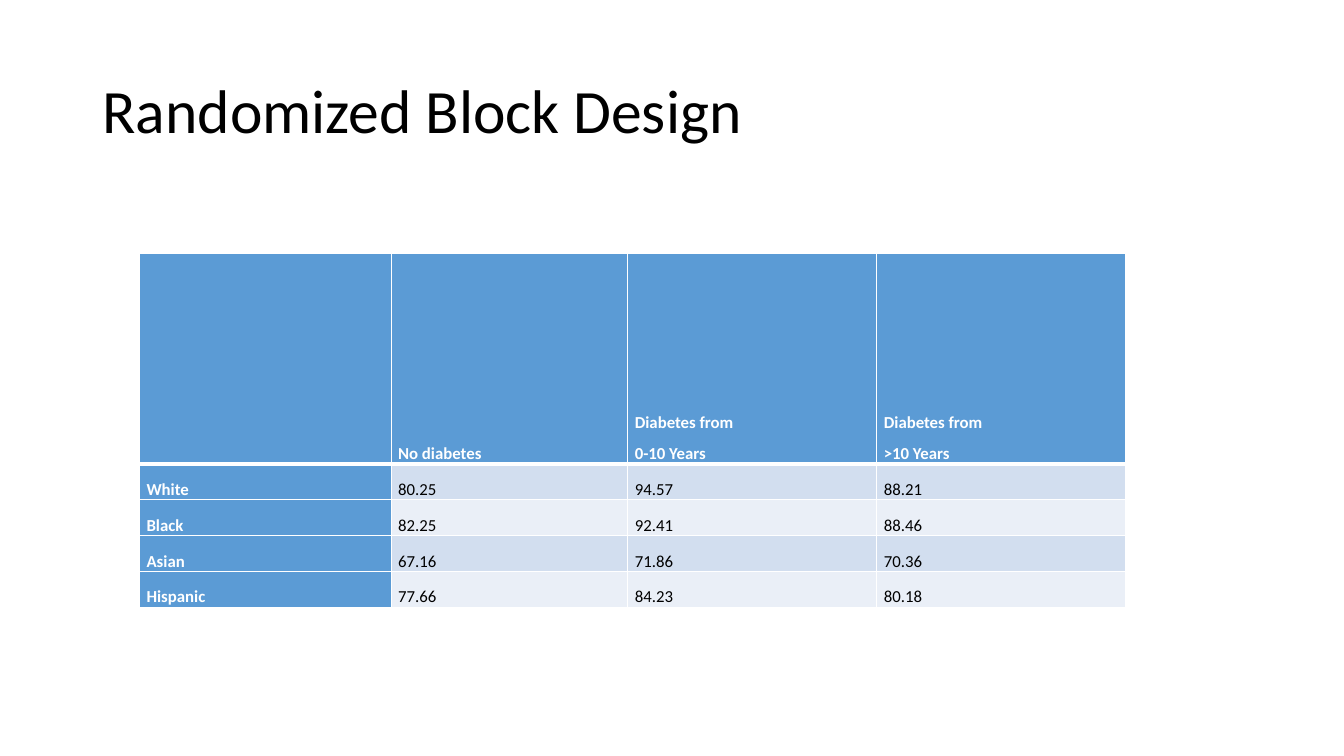
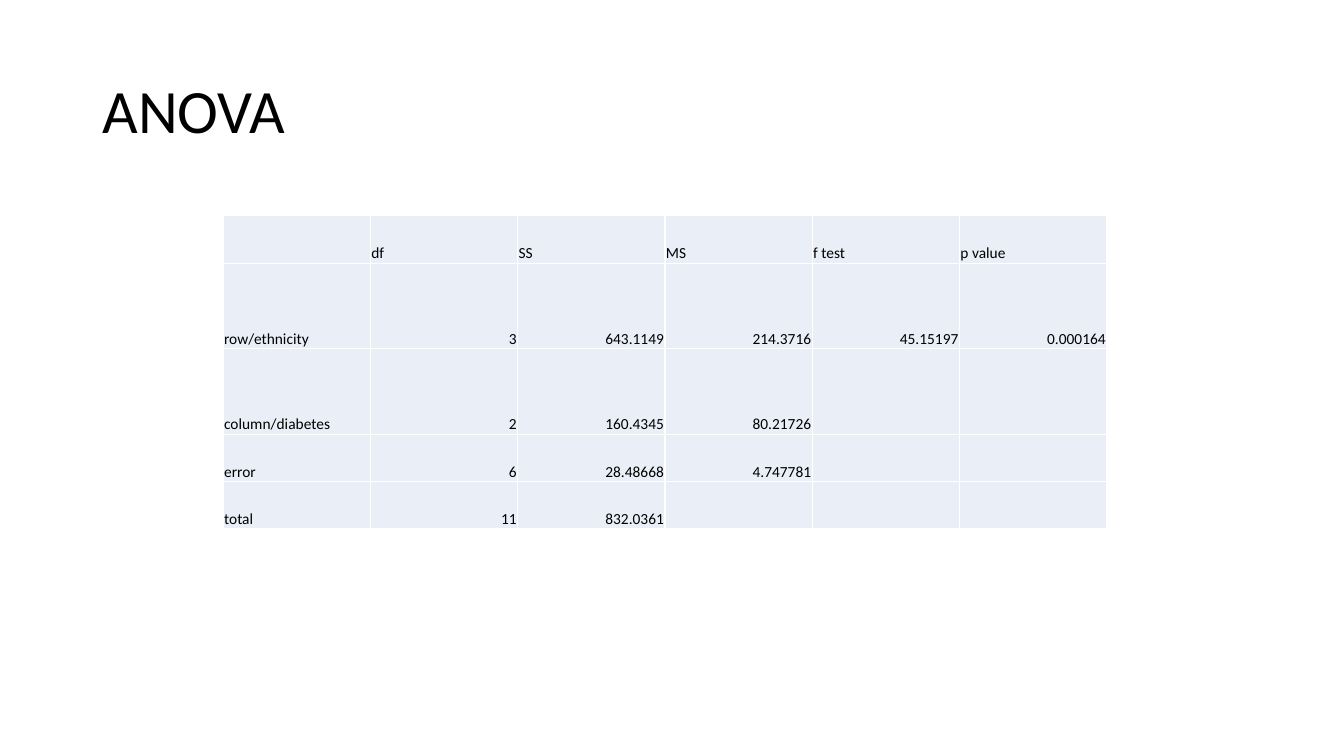
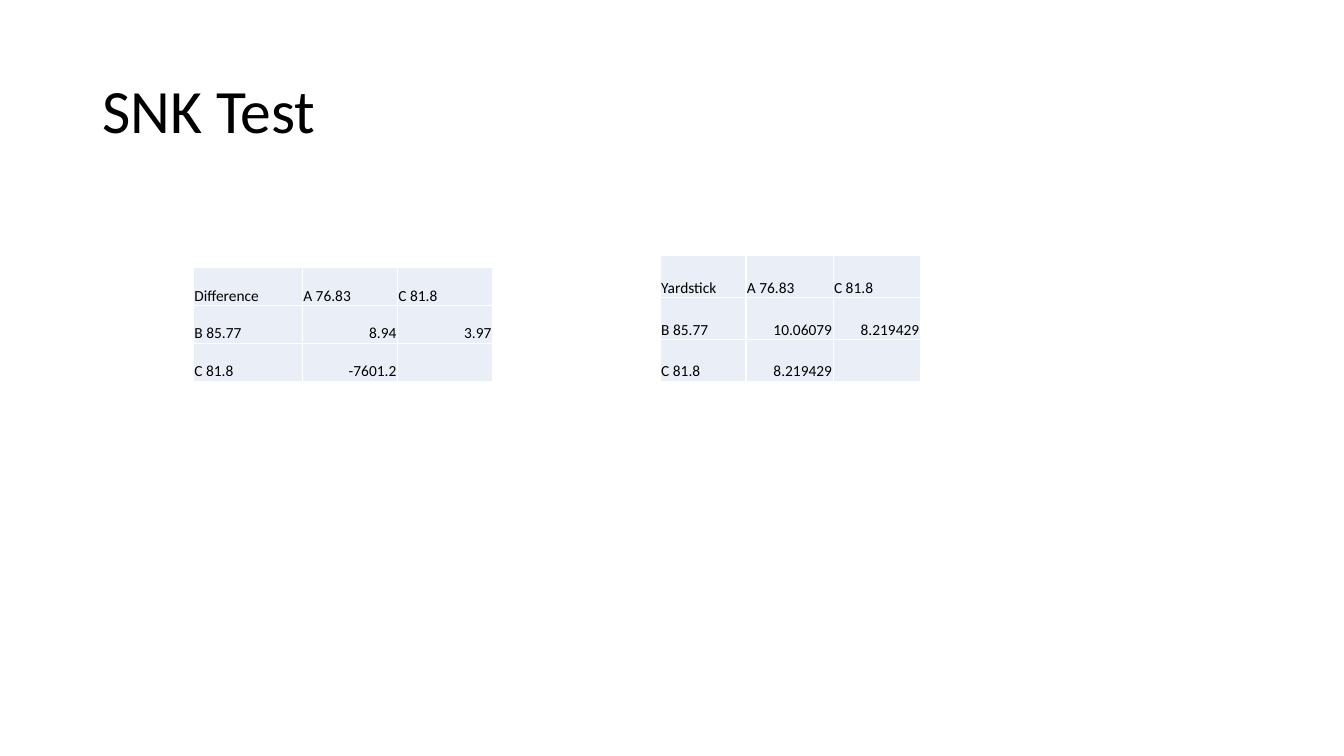
from lxml.etree import SubElement
from pptx import Presentation
from pptx.dml.color import RGBColor
from pptx.enum.text import MSO_ANCHOR as Anchor, MSO_AUTO_SIZE as AutoSize, PP_ALIGN as Align
from pptx.oxml.ns import qn
from pptx.util import Pt

BLACK, WHITE = "000000", "FFFFFF"
BLUE, MID_BLUE, PALE_BLUE = "5B9BD5", "D2DEEF", "EAEFF7"


def color(hex_code):
    """Turn a hex string into a colour."""
    return RGBColor.from_string(hex_code)


def write(text_frame, text, size=11, hex_code=BLACK, bold=False, align=Align.LEFT, spacing=1.0):
    """Write text into a frame, one paragraph per line."""
    for index, line in enumerate(text.split("\n")):
        paragraph = text_frame.add_paragraph() if index else text_frame.paragraphs[0]
        paragraph.alignment = align
        paragraph.line_spacing = spacing
        run = paragraph.add_run()
        run.text = line
        run.font.name = "Calibri"
        run.font.size = Pt(size)
        run.font.bold = bold
        run.font.color.rgb = color(hex_code)


def block_style(row, column):
    """Style a table with a dark header row, a dark first column and bands."""
    dark = row == 0 or column == 0
    band = MID_BLUE if row % 2 else PALE_BLUE
    return {
        "fill": BLUE if dark else band,
        "margins": (5, 0, 5, 0),
        "top": 3 if row == 1 else 1,
        "bottom": 3 if row == 0 else 1,
        "text": {"size": 12, "hex_code": WHITE if dark else BLACK, "bold": dark,
                 "align": Align.JUSTIFY, "spacing": 1.5},
    }


def plain_style(row, column):
    """Style a pale table whose numbers stand at the right."""
    return {
        "fill": PALE_BLUE,
        "margins": (0.7, 0.7, 0.7, 0),
        "top": 1,
        "bottom": 1,
        "text": {"align": Align.RIGHT if row and column else Align.LEFT},
    }


class Deck:
    """Hold the presentation, its style and the current slide."""

    def __init__(self):
        """Start a wide presentation."""
        self.presentation = Presentation()
        self.presentation.slide_width = Pt(960)
        self.presentation.slide_height = Pt(540)
        self.slide = None

    def add_slide(self, title):
        """Add a slide with a title."""
        self.slide = self.presentation.slides.add_slide(self.presentation.slide_layouts[5])
        shape = self.slide.shapes.title
        shape.left, shape.top, shape.width, shape.height = Pt(66), Pt(28.8), Pt(828), Pt(104.4)
        text_frame = shape.text_frame
        text_frame.word_wrap = True
        text_frame.auto_size = AutoSize.NONE
        text_frame.vertical_anchor = Anchor.MIDDLE
        write(text_frame, title, size=44, spacing=0.9)

    def add_table(self, left, top, widths, heights, rows, style):
        """Add a table and format each cell by the style rule."""
        table = self.slide.shapes.add_table(
            len(rows), len(widths), Pt(left), Pt(top), Pt(sum(widths)), Pt(sum(heights))).table
        table.first_row = table.horz_banding = False
        for column, width in zip(table.columns, widths):
            column.width = Pt(width)
        for row, height in zip(table.rows, heights):
            row.height = Pt(height)
        for row_index, texts in enumerate(rows):
            for column_index, text in enumerate(texts):
                self.format_cell(table.cell(row_index, column_index), text,
                                 style(row_index, column_index))

    def format_cell(self, cell, text, look):
        """Set the borders, fill, margins and text of a cell."""
        for side, width in (("L", 1), ("R", 1), ("T", look["top"]), ("B", look["bottom"])):
            self.add_border(cell, side, width)
        cell.fill.solid()
        cell.fill.fore_color.rgb = color(look["fill"])
        cell.margin_left, cell.margin_top, cell.margin_right, cell.margin_bottom = map(
            Pt, look["margins"])
        cell.vertical_anchor = Anchor.BOTTOM
        if text:
            write(cell.text_frame, text, **look["text"])

    def add_border(self, cell, side, width):
        """Draw a white line on one side of a cell."""
        properties = cell._tc.get_or_add_tcPr()
        line = SubElement(properties, qn(f"a:ln{side}"), w=str(Pt(width)))
        fill = SubElement(line, qn("a:solidFill"))
        SubElement(fill, qn("a:srgbClr"), val=WHITE)


def main():
    """Build and save the slides."""
    deck = Deck()

    deck.add_slide("Randomized Block Design")
    deck.add_table(99.7, 180.7, [179.7, 169.1, 177.9, 177.9], [150.5] + [25.7] * 4, [
        ["", "No diabetes", "Diabetes from\n0-10 Years", "Diabetes from\n>10 Years"],
        ["White", "80.25", "94.57", "88.21"],
        ["Black", "82.25", "92.41", "88.46"],
        ["Asian", "67.16", "71.86", "70.36"],
        ["Hispanic", "77.66", "84.23", "80.18"],
    ], block_style)

    deck.add_slide("ANOVA")
    deck.add_table(159.4, 154.1, [105.2] * 6, [33.9, 61.1, 61.1, 33.9, 33.9], [
        ["", "df", "SS", "MS", "f test", "p value"],
        ["row/ethnicity", "3", "643.1149", "214.3716", "45.15197", "0.000164"],
        ["column/diabetes", "2", "160.4345", "80.21726", "", ""],
        ["error", "6", "28.48668", "4.747781", "", ""],
        ["total", "11", "832.0361", "", "", ""],
    ], plain_style)

    deck.add_slide("SNK Test")
    deck.add_table(138.2, 190.9, [77.8, 67.9, 67.9], [27.1] * 3, [
        ["Difference", "A 76.83", "C 81.8"],
        ["B 85.77", "8.94", "3.97"],
        ["C 81.8", "-7601.2", ""],
    ], plain_style)
    deck.add_table(471.6, 182.6, [61.2, 62.3, 62.3], [29.9] * 3, [
        ["Yardstick", "A 76.83", "C 81.8"],
        ["B 85.77", "10.06079", "8.219429"],
        ["C 81.8", "8.219429", ""],
    ], plain_style)

    deck.presentation.save("out.pptx")


if __name__ == "__main__":
    main()
